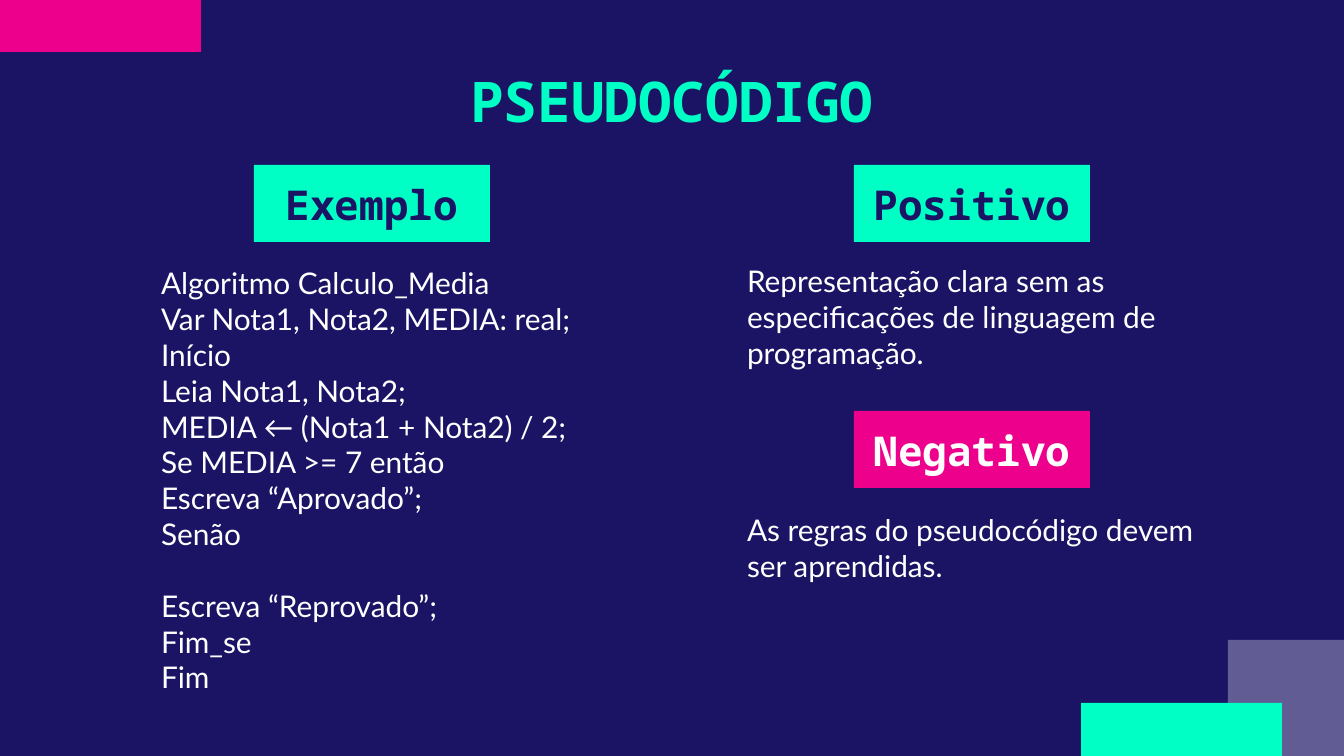
from lxml.etree import SubElement
from pptx import Presentation
from pptx.dml.color import RGBColor
from pptx.enum.shapes import MSO_SHAPE as Preset
from pptx.enum.text import MSO_ANCHOR as Anchor, MSO_AUTO_SIZE as AutoSize, PP_ALIGN as Align
from pptx.oxml.ns import qn
from pptx.util import Emu, Pt

PX_PER_INCH = 134.4
WIDTH, HEIGHT = 1344, 756
NAVY, PINK, MINT, WHITE = "1B1464", "EC008C", "00FFC5", "FFFFFF"
HEADING_FONT, BODY_FONT = "Noto Sans Mono", "Lato"
BODY_SIZE = 16
LINE_HEIGHT = 1.2

ALGORITHM = [
    "Algoritmo Calculo_Media",
    "Var Nota1, Nota2, MEDIA: real;",
    "Início",
    "Leia Nota1, Nota2;",
    "MEDIA ← (Nota1 + Nota2) / 2;",
    "Se MEDIA >= 7 então",
    "Escreva “Aprovado”;",
    "Senão",
    "Escreva “Reprovado”;",
    "Fim_se",
    "Fim",
]
ADVANTAGE = [
    "Representação clara sem as",
    "especificações de linguagem de",
    "programação.",
]
DRAWBACK = ["As regras do pseudocódigo devem", "ser aprendidas."]


def px(length):
    return Emu(round(length * 914400 / PX_PER_INCH))


def set_fill(fill, color):
    fill.solid()
    fill.fore_color.rgb = RGBColor.from_string(color)


def set_attributes(target, values):
    for name, value in values.items():
        setattr(target, name, value)


def set_frame(frame, anchor, inset_x=13, inset_y=13):
    set_attributes(frame, {
        "word_wrap": True, "vertical_anchor": anchor,
        "margin_left": px(inset_x), "margin_right": px(inset_x),
        "margin_top": px(inset_y), "margin_bottom": px(inset_y),
    })


def write_line(paragraph, text, size, color, font_name, bold=False, align=Align.LEFT):
    paragraph.alignment = align
    run = paragraph.add_run()
    run.text = text
    set_attributes(run.font, {"name": font_name, "size": Pt(size), "bold": bold})
    run.font.color.rgb = RGBColor.from_string(color)


def add_block(slide, left, top, width, height, color, opacity=100):
    """Add a borderless rectangle; opacity is in percent."""
    block = slide.shapes.add_shape(Preset.RECTANGLE, px(left), px(top), px(width), px(height))
    block.shadow.inherit = False
    block.line.fill.background()
    set_fill(block.fill, color)
    if opacity < 100:
        color_element = block.fill._xPr.find(qn("a:solidFill"))[0]
        SubElement(color_element, qn("a:alpha"), val=str(opacity * 1000))
    return block


def add_label(slide, left, top, text, fill_color, text_color):
    label = add_block(slide, left, top, 236, 77, fill_color)
    set_frame(label.text_frame, Anchor.BOTTOM)
    write_line(label.text_frame.paragraphs[0], text, 22, text_color,
               HEADING_FONT, bold=True, align=Align.CENTER)


def add_body(slide, left, top, width, height, lines, gap_before=None):
    """Add one paragraph per line, with a line of space before gap_before."""
    box = slide.shapes.add_textbox(px(left), px(top), px(width), px(height))
    frame = box.text_frame
    set_frame(frame, Anchor.TOP, inset_y=7)
    frame.auto_size = AutoSize.SHAPE_TO_FIT_TEXT
    for index, line in enumerate(lines):
        paragraph = frame.add_paragraph() if index else frame.paragraphs[0]
        write_line(paragraph, line, BODY_SIZE, WHITE, BODY_FONT)
        if line == gap_before:
            paragraph.space_before = Pt(BODY_SIZE * LINE_HEIGHT)


def place_title(slide, text):
    title = slide.shapes.title
    set_attributes(title, {"left": px(188), "top": px(51), "width": px(968), "height": px(98)})
    set_frame(title.text_frame, Anchor.MIDDLE)
    title.text_frame.auto_size = AutoSize.NONE
    write_line(title.text_frame.paragraphs[0], text, 30, MINT,
               HEADING_FONT, bold=True, align=Align.CENTER)


def main():
    presentation = Presentation()
    set_attributes(presentation, {"slide_width": px(WIDTH), "slide_height": px(HEIGHT)})
    slide = presentation.slides.add_slide(presentation.slide_layouts[5])
    set_fill(slide.background.fill, NAVY)

    add_block(slide, 0, 0, 201, 52, PINK)
    add_block(slide, WIDTH - 116, HEIGHT - 116, 116, 116, WHITE, opacity=31)
    add_block(slide, 1081, HEIGHT - 53, 201, 53, MINT)

    place_title(slide, "PSEUDOCÓDIGO")
    add_label(slide, 254, 165, "Exemplo", MINT, NAVY)
    add_body(slide, 148, 258, 448, 448, ALGORITHM, gap_before="Escreva “Reprovado”;")
    add_label(slide, 854, 165, "Positivo", MINT, NAVY)
    add_body(slide, 734, 256, 477, 122, ADVANTAGE)
    add_label(slide, 854, 411, "Negativo", PINK, WHITE)
    add_body(slide, 734, 505, 477, 86, DRAWBACK)

    presentation.save("out.pptx")


if __name__ == "__main__":
    main()
